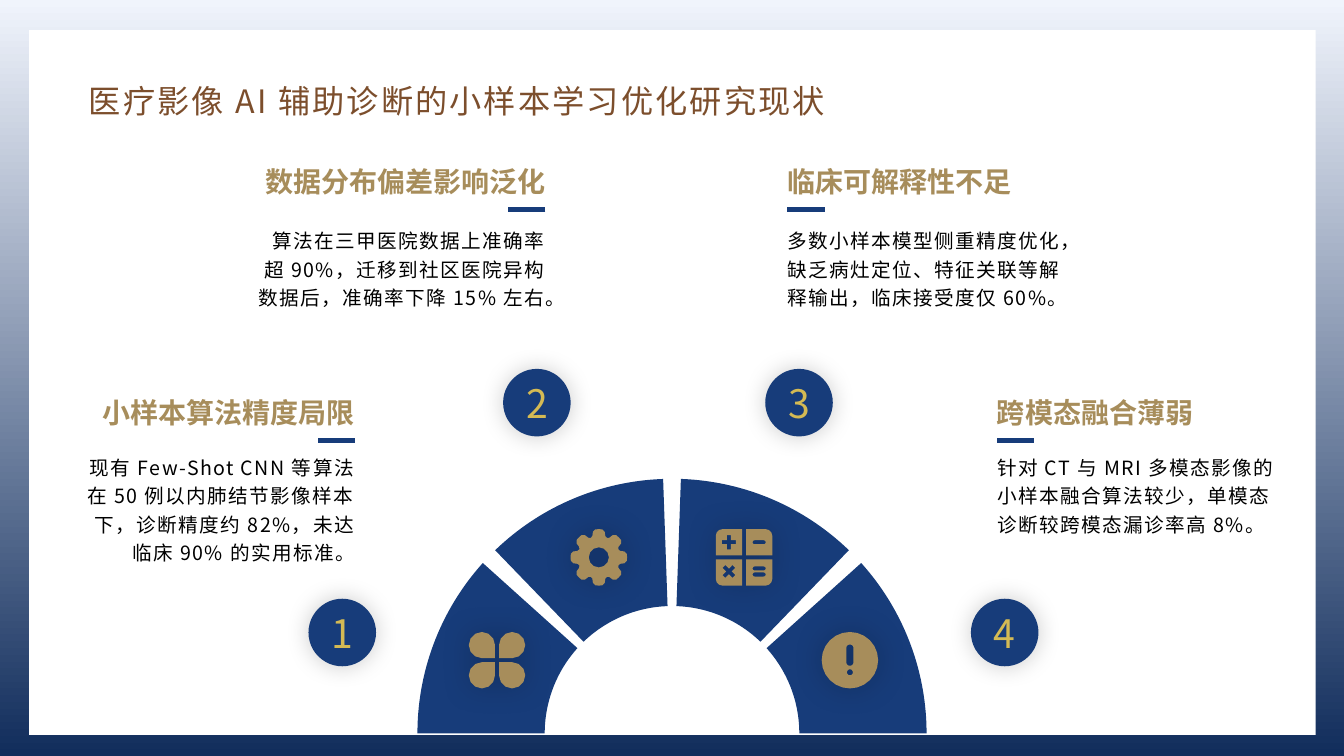
from dataclasses import dataclass
from math import cos, pi, radians, sin

from pptx import Presentation
from pptx.dml.color import RGBColor
from pptx.enum.shapes import MSO_CONNECTOR, MSO_SHAPE
from pptx.enum.text import MSO_ANCHOR, MSO_AUTO_SIZE, PP_ALIGN
from pptx.oxml import parse_xml
from pptx.oxml.ns import qn
from pptx.util import Inches, Pt

LEFT, RIGHT, CENTER = PP_ALIGN.LEFT, PP_ALIGN.RIGHT, PP_ALIGN.CENTER
MIDDLE, BOTTOM = MSO_ANCHOR.MIDDLE, MSO_ANCHOR.BOTTOM
RECTANGLE, OVAL, BLOCK_ARC = MSO_SHAPE.RECTANGLE, MSO_SHAPE.OVAL, MSO_SHAPE.BLOCK_ARC
FONT = "Noto Sans CJK SC"
NAMESPACE = 'xmlns:a="http://schemas.openxmlformats.org/drawingml/2006/main"'
COLORS = {
    "sky": "F0F4FC", "night": "112D5C", "panel": "FFFFFF", "navy": "173C7A",
    "gold": "A78D5B", "brown": "7C4E2C", "ink": "000000",
    "pale_gold": "F4EED4", "bright_gold": "D4BA54", "deep_gold": "C9AA33",
}
Contour = list[tuple[float, float]]
QUADRANTS = [(1, 1), (-1, 1), (-1, -1), (1, -1)]
# Outline of one gear tooth: angle in degrees, radius in inches
TOOTH = [(-17, 0.22), (-13, 0.26), (-7, 0.28), (0, 0.28),
         (7, 0.28), (13, 0.26), (17, 0.22), (22.5, 0.21)]


@dataclass
class Topic:
    number: str
    heading: str
    body: str
    align: PP_ALIGN
    edge: float  # outer box edge on the aligned side
    top: float
    body_gap: float
    body_width: float
    badge: tuple[float, float]


@dataclass
class Icon:
    center: tuple[float, float]
    contours: list[Contour]  # relative to the center


TOPICS = [
    Topic("1", "小样本算法精度局限",
          "现有 Few-Shot CNN 等算法在 50 例以内肺结节影像样本下，诊断精度约 82%，未达临床 90% 的实用标准。",
          RIGHT, 3.62, 3.87, 0.56, 2.98, (3.06, 5.94)),
    Topic("2", "数据分布偏差影响泛化",
          "算法在三甲医院数据上准确率超 90%，迁移到社区医院异构数据后，准确率下降 15% 左右。",
          RIGHT, 5.51, 1.58, 0.6, 3.07, (4.99, 3.66)),
    Topic("3", "临床可解释性不足",
          "多数小样本模型侧重精度优化，缺乏病灶定位、特征关联等解释输出，临床接受度仅 60%。",
          LEFT, 7.71, 1.58, 0.6, 2.98, (7.59, 3.66)),
    Topic("4", "跨模态融合薄弱",
          "针对 CT 与 MRI 多模态影像的小样本融合算法较少，单模态诊断较跨模态漏诊率高 8%。",
          LEFT, 9.79, 3.87, 0.56, 2.98, (9.63, 5.94)),
]


# Outlines of the icons
def arc(x: float, y: float, radius: float, start: int = 0, sweep: int = 360) -> Contour:
    if radius == 0:
        return [(x, y)]
    pace = 15 if radius > 0.2 else 30
    angles = [radians(start + turn) for turn in range(0, sweep + 1, pace)]
    return [(x + radius * cos(a), y + radius * sin(a)) for a in angles]


def rounded(x: float, y: float, width: float, height: float, radii: list[float]) -> Contour:
    """Rectangle around (x, y); radii run from bottom right clockwise."""
    points: Contour = []
    for turn, ((sx, sy), radius) in enumerate(zip(QUADRANTS, radii)):
        points += arc(x + sx * (width / 2 - radius), y + sy * (height / 2 - radius),
                      radius, 90 * turn, 90)
    return points


def cross(x: float, y: float, arm: float, half: float, tilt: float) -> Contour:
    points: Contour = []
    for turn in range(4):
        a = turn * pi / 2 + tilt
        for along, across in [(arm, -half), (arm, half), (half, half)]:
            points.append((x + along * cos(a) - across * sin(a),
                           y + along * sin(a) + across * cos(a)))
    return points


def clover() -> list[Contour]:
    return [arc(sx * 0.15, sy * 0.15, 0.13, 270 + 90 * turn, 270) + [(sx * 0.02, sy * 0.02)]
            for turn, (sx, sy) in enumerate(QUADRANTS)]


def gear() -> list[Contour]:
    rim = [(radius * cos(radians(45 * tooth + angle)), radius * sin(radians(45 * tooth + angle)))
           for tooth in range(8) for angle, radius in TOOTH]
    return [rim, arc(0, 0, 0.1)]


def calculator() -> list[Contour]:
    tiles = []
    for turn, (sx, sy) in enumerate(QUADRANTS):
        radii = [0.065 if corner == turn else 0 for corner in range(4)]
        tiles.append(rounded(sx * 0.15, sy * 0.15, 0.26, 0.26, radii))
    bars = [rounded(0.15, y, 0.13, 0.04, [0.02] * 4) for y in (-0.15, 0.11, 0.17)]
    return tiles + bars + [cross(-0.15, -0.15, 0.07, 0.02, 0),
                           cross(-0.15, 0.14, 0.07, 0.02, pi / 4)]


def alert() -> list[Contour]:
    return [arc(0, 0, 0.28), rounded(0, -0.05, 0.07, 0.21, [0.03] * 4), arc(0, 0.12, 0.03)]


ICONS = [Icon((4.93, 6.55), clover()), Icon((5.94, 5.53), gear()),
         Icon((7.38, 5.53), calculator()), Icon((8.43, 6.55), alert())]


# Drawing helpers
def paint(shape, color: str, glow: int = 0) -> None:
    shape.shadow.inherit = False
    shape.fill.solid()
    shape.fill.fore_color.rgb = RGBColor.from_string(COLORS[color])
    shape.line.fill.background()
    if glow:
        shape._element.spPr.find(qn("a:effectLst")).append(parse_xml(
            f'<a:outerShdw {NAMESPACE} blurRad="{Pt(glow)}" dist="0" algn="ctr" rotWithShape="0">'
            f'<a:srgbClr val="{COLORS["ink"]}"><a:alpha val="20000"/></a:srgbClr></a:outerShdw>'))


def add_shape(page, kind: MSO_SHAPE, x: float, y: float, width: float, height: float,
              color: str, glow: int = 0):
    shape = page.shapes.add_shape(kind, Inches(x), Inches(y), Inches(width), Inches(height))
    paint(shape, color, glow)
    return shape


def write(box, text: str, size: float, color: str, align: PP_ALIGN,
          bold: bool = False, tracking: float = 0, spacing: float = 1.0):
    para = box.text_frame.paragraphs[0]
    para.alignment = align
    para.line_spacing = spacing
    span = para.add_run()
    span.text = text
    span.font.size, span.font.bold, span.font.name = Pt(size), bold, FONT
    span.font.color.rgb = RGBColor.from_string(COLORS[color])
    properties = span._r.get_or_add_rPr()
    properties.set("spc", str(int(tracking * 100)))
    properties.find(qn("a:latin")).addnext(
        parse_xml(f'<a:ea {NAMESPACE} typeface="{FONT}"/>'))
    return span


def add_icon(page, icon: Icon) -> None:
    cx, cy = icon.center
    placed = [[(Inches(cx + x), Inches(cy + y)) for x, y in contour]
              for contour in icon.contours]
    builder = page.shapes.build_freeform(*placed[0][0])
    for index, contour in enumerate(placed):
        if index:
            builder.move_to(*contour[0])
        builder.add_line_segments(contour[1:], close=True)
    paint(builder.convert_to_shape(), "gold", glow=23)


def add_badge(page, topic: Topic) -> None:
    badge = add_shape(page, OVAL, *topic.badge, 0.67, 0.67, "navy", glow=17)
    badge.text_frame.vertical_anchor = MIDDLE
    span = write(badge, topic.number, 28, "bright_gold", CENTER)
    stops = "".join(
        f'<a:gs pos="{place}"><a:srgbClr val="{COLORS[name]}"/></a:gs>' for place, name in
        [(0, "pale_gold"), (50000, "bright_gold"), (100000, "deep_gold")])
    properties = span._r.get_or_add_rPr()
    properties.replace(properties.find(qn("a:solidFill")), parse_xml(
        f'<a:gradFill {NAMESPACE}><a:gsLst>{stops}</a:gsLst>'
        '<a:lin ang="5400000" scaled="0"/></a:gradFill>'))


def add_topic(page, topic: Topic) -> None:
    def add_box(y: float, width: float, height: float):
        x = topic.edge - width if topic.align == RIGHT else topic.edge
        box = page.shapes.add_textbox(Inches(x), Inches(y), Inches(width), Inches(height))
        box.text_frame.word_wrap = True
        return box

    heading = add_box(topic.top, len(topic.heading) * 20 / 72 + 0.25, 0.44)
    write(heading, topic.heading, 20, "gold", topic.align, bold=True)
    body = add_box(topic.top + topic.body_gap, topic.body_width, 1.23)
    write(body, topic.body, 14, "ink", topic.align, tracking=1, spacing=1.2)
    inward = -1 if topic.align == RIGHT else 1
    start, y = topic.edge + inward * 0.1, Inches(topic.top + 0.5)
    rule = page.shapes.add_connector(MSO_CONNECTOR.STRAIGHT, Inches(start), y,
                                     Inches(start + inward * 0.37), y)
    rule.line.color.rgb = RGBColor.from_string(COLORS["navy"])
    rule.line.width = Pt(4)
    rule._element.spPr.append(parse_xml(f"<a:effectLst {NAMESPACE}/>"))


def main() -> None:
    deck = Presentation()
    deck.slide_width, deck.slide_height = Inches(13.33), Inches(7.5)
    page = deck.slides.add_slide(deck.slide_layouts[5])

    # Background and panel
    backdrop = page.background.fill
    backdrop.gradient()
    backdrop.gradient_angle = 270
    for stop, name in zip(backdrop.gradient_stops, ("sky", "night")):
        stop.color.rgb = RGBColor.from_string(COLORS[name])
    panel = add_shape(page, RECTANGLE, 0.29, 0.3, 12.76, 6.99, "panel")

    # Title, brought in front of the panel
    title = page.shapes.title
    title.left, title.top, title.width, title.height = map(Inches, (0.78, 0.64, 8.74, 0.6))
    title.text_frame.auto_size = MSO_AUTO_SIZE.NONE
    title.text_frame.vertical_anchor = BOTTOM
    write(title, "医疗影像 AI 辅助诊断的小样本学习优化研究现状", 23, "brown", LEFT,
          tracking=1.5, spacing=1.3)
    panel._element.addnext(title._element)

    # Half ring: four 42-degree segments with 4-degree gaps
    for index in range(4):
        start = 180 + 46 * index
        segment = add_shape(page, BLOCK_ARC, 4.14, 4.75, 5.05, 5.05, "navy")
        for slot, value in enumerate((start * 0.6, (start + 42) % 360 * 0.6, 0.25)):
            segment.adjustments[slot] = value

    for icon in ICONS:
        add_icon(page, icon)
    for topic in TOPICS:
        add_badge(page, topic)
        add_topic(page, topic)
    deck.save("out.pptx")


if __name__ == "__main__":
    main()
